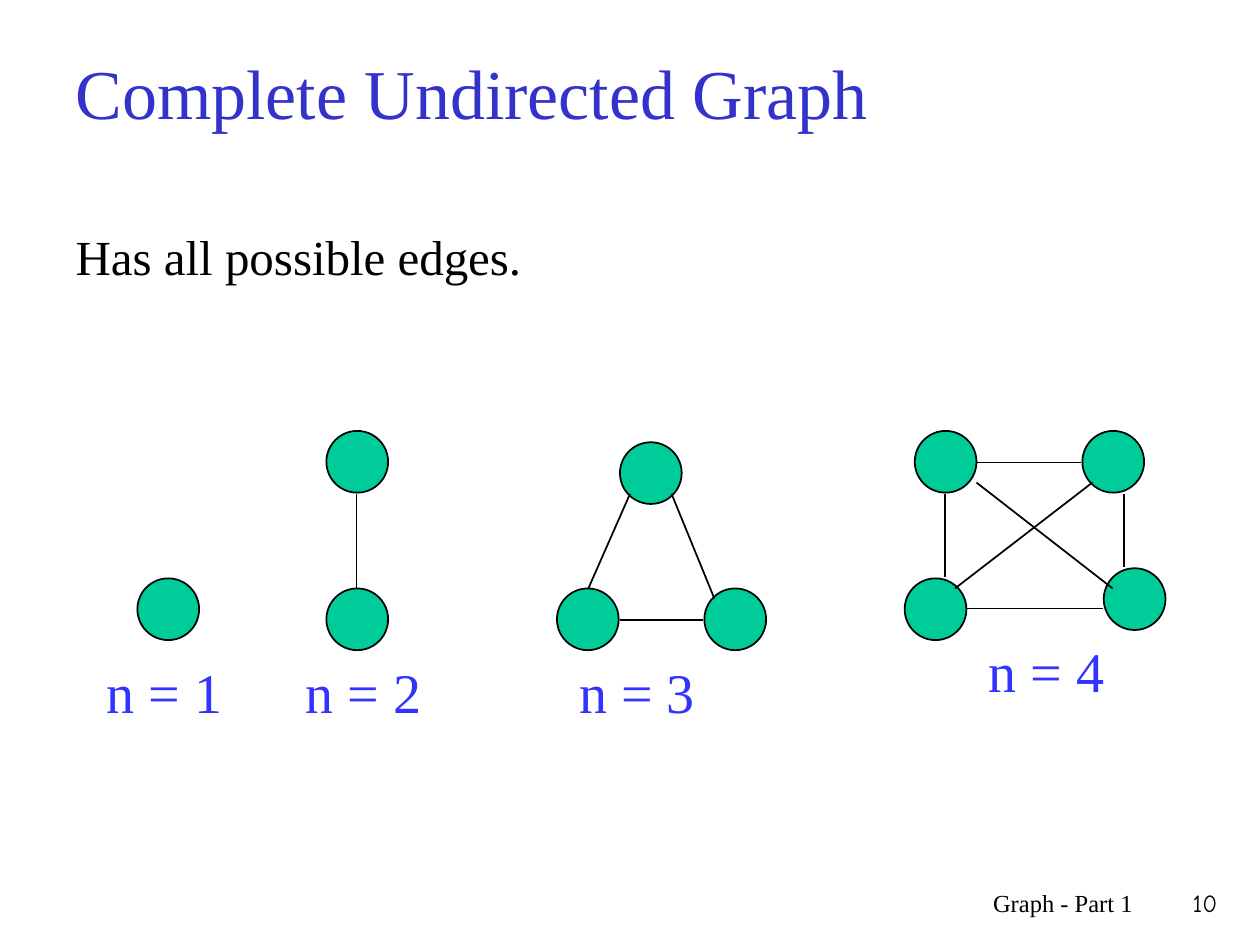
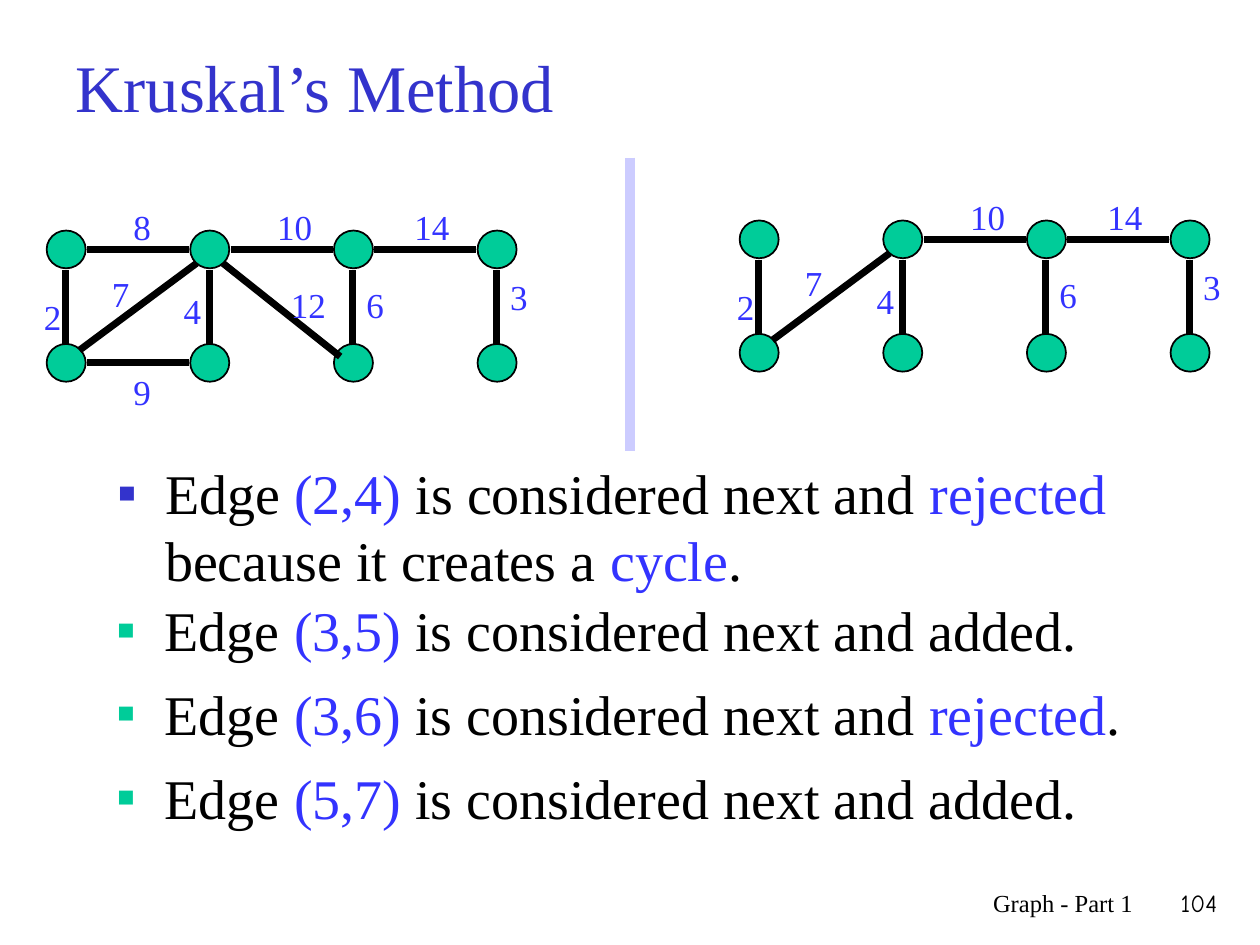
from dataclasses import dataclass
from typing import NamedTuple

import pptx
import pptx.dml.color
import pptx.enum.shapes
import pptx.enum.text
import pptx.oxml
import pptx.oxml.ns
import pptx.util
from lxml import etree

# Shared look: 100 px to the inch
EMU_PER_PX = 9144
SERIF = "Times New Roman"
NUMBER_FONT = "Comic Neue"
BLACK = "000000"
TITLE_BLUE = "3333CC"
ACCENT_BLUE = "3333FF"
NODE_GREEN = "00CC99"
DIVIDER_LILAC = "CCCCFF"
BULLET = "▪"
HANG = 38

Point = tuple[int, int]


class Box(NamedTuple):
    left: int
    top: int
    width: int
    height: int


class Span(NamedTuple):
    text: str
    color: str = BLACK


@dataclass(frozen=True)
class CompleteGraph:
    caption: str
    caption_at: Point
    nodes: list[Point]
    edges: list[tuple[Point, Point]]


class WeightedEdge(NamedTuple):
    start: int
    end: int
    weight: str
    label_at: Point
    label_width: int = 22


class BulletItem(NamedTuple):
    top: int
    bullet_color: str
    spans: list[Span]


def px(length: int) -> pptx.util.Emu:
    return pptx.util.Emu(length * EMU_PER_PX)


def rgb(color: str) -> pptx.dml.color.RGBColor:
    return pptx.dml.color.RGBColor.from_string(color)


# Text
def place(shape, box: Box) -> None:
    shape.left, shape.top, shape.width, shape.height = map(px, box)


def write(shape, spans: list[Span], size: int, font: str = SERIF,
          align=pptx.enum.text.PP_ALIGN.LEFT,
          anchor=pptx.enum.text.MSO_ANCHOR.TOP):
    frame = shape.text_frame
    frame.word_wrap = True
    frame.auto_size = pptx.enum.text.MSO_AUTO_SIZE.NONE
    frame.vertical_anchor = anchor
    paragraph = frame.paragraphs[0]
    paragraph.alignment = align
    paragraph.space_before = pptx.util.Pt(0)
    for span in spans:
        run = paragraph.add_run()
        run.text = span.text
        run.font.size = pptx.util.Pt(size)
        run.font.name = font
        run.font.color.rgb = rgb(span.color)
    return paragraph


def add_text(slide, box: Box, spans: list[Span], size: int, **style):
    return write(slide.shapes.add_textbox(*map(px, box)), spans, size, **style)


def hang(paragraph, bullet_color: str | None = None) -> None:
    """Hanging indent, with a square bullet if a colour is given."""
    properties = paragraph._p.get_or_add_pPr()
    properties.set("marL", str(px(HANG)))
    properties.set("indent", str(px(-HANG)))

    def add(parent, tag: str, **attributes: str):
        return etree.SubElement(parent, pptx.oxml.ns.qn(tag), attributes)

    if bullet_color is None:
        add(properties, "a:buNone")
        return
    add(add(properties, "a:buClr"), "a:srgbClr", val=bullet_color)
    add(properties, "a:buFont", typeface=SERIF)
    add(properties, "a:buChar", char=BULLET)


# Graph parts
def add_node(slide, box: Box) -> None:
    node = slide.shapes.add_shape(pptx.enum.shapes.MSO_SHAPE.OVAL, *map(px, box))
    node.shadow.inherit = False
    node.fill.solid()
    node.fill.fore_color.rgb = rgb(NODE_GREEN)
    node.line.color.rgb = rgb(BLACK)
    node.line.width = pptx.util.Pt(1)


def add_line(slide, start: Point, end: Point, width: int, color: str = BLACK) -> None:
    line = slide.shapes.add_connector(
        pptx.enum.shapes.MSO_CONNECTOR.STRAIGHT, *map(px, start + end))
    line.line.color.rgb = rgb(color)
    line.line.width = pptx.util.Pt(width)
    etree.SubElement(line._element.spPr, pptx.oxml.ns.qn("a:effectLst"))


# Slide frame: title, footer and number
def start_slide(deck, title: str, size: int, title_height: int, number: str):
    slide = deck.slides.add_slide(deck.slide_layouts[1])
    place(slide.shapes.title, Box(50, 30, 900, title_height))
    write(slide.shapes.title, [Span(title, TITLE_BLUE)], size,
          anchor=pptx.enum.text.MSO_ANCHOR.MIDDLE)
    right = pptx.enum.text.PP_ALIGN.RIGHT
    add_text(slide, Box(592, 700, 317, 50), [Span("Graph - Part 1")], 14, align=right)
    add_text(slide, Box(908, 700, 68, 50), [Span(number)], 14,
             font=NUMBER_FONT, align=right)
    return slide


# Slide 1: complete graphs with one to four nodes
COMPLETE_NODE = 49
COMPLETE_GRAPHS = [
    CompleteGraph("n = 1", (75, 517), [(109, 459)], []),
    CompleteGraph("n = 2", (233, 517), [(259, 467), (259, 342)],
                  [((283, 392), (283, 467))]),
    CompleteGraph("n = 3", (450, 517), [(492, 351), (442, 467), (559, 467)],
                  [((533, 392), (567, 475)), ((500, 392), (467, 467)),
                   ((492, 492), (558, 492))]),
    CompleteGraph("n = 4", (775, 500),
                  [(726, 342), (859, 342), (876, 451), (718, 459)],
                  [((775, 367), (858, 367)), ((892, 392), (892, 450)),
                   ((750, 392), (750, 458)), ((767, 483), (875, 483)),
                   ((775, 383), (883, 467)), ((867, 383), (758, 467))]),
]


def draw_complete_graph(slide, graph: CompleteGraph) -> None:
    for left, top in graph.nodes:
        add_node(slide, Box(left, top, COMPLETE_NODE, COMPLETE_NODE))
    for start, end in graph.edges:
        add_line(slide, start, end, 1)
    add_text(slide, Box(*graph.caption_at, 133, 63),
             [Span(graph.caption, ACCENT_BLUE)], 32)


def build_complete_slide(deck) -> None:
    slide = start_slide(deck, "Complete Undirected Graph", 40, 85, "10")
    definition = slide.placeholders[1]
    place(definition, Box(50, 175, 900, 92))
    hang(write(definition, [Span("Has all possible edges.")], 28))
    for graph in COMPLETE_GRAPHS:
        draw_complete_graph(slide, graph)


# Slide 2: weighted graph beside its spanning tree
# Odd nodes form the upper row and even nodes the lower row.
NODE_WIDTH, NODE_HEIGHT = 31, 30
COLUMN_STEP, ROW_STEP = 114, 90
NODE_COUNT = 8
GRAPH_ORIGIN = (37, 183)
TREE_ORIGIN = (587, 175)

# Label places are measured from the first node of the graph.
EDGES = [
    WeightedEdge(1, 2, "2", (-12, 47)),
    WeightedEdge(3, 4, "4", (99, 42)),
    WeightedEdge(5, 6, "6", (244, 37)),
    WeightedEdge(7, 8, "3", (358, 31)),
    WeightedEdge(1, 3, "8", (59, -25)),
    WeightedEdge(3, 5, "10", (173, -25), 49),
    WeightedEdge(5, 7, "14", (282, -25), 54),
    WeightedEdge(2, 4, "9", (59, 106)),
    WeightedEdge(2, 3, "7", (42, 28)),
    WeightedEdge(3, 6, "12", (184, 37), 54),
]
REJECTED_WEIGHTS = {"8", "9", "12"}
TREE_EDGES = [edge for edge in EDGES if edge.weight not in REJECTED_WEIGHTS]


def node_corner(origin: Point, number: int) -> Point:
    column, row = divmod(number - 1, 2)
    return origin[0] + column * COLUMN_STEP, origin[1] + row * ROW_STEP


def edge_ends(origin: Point, edge: WeightedEdge) -> tuple[Point, Point]:
    (x1, y1), (x2, y2) = (node_corner(origin, n) for n in (edge.start, edge.end))
    if x1 == x2:
        middle = x1 + NODE_WIDTH // 2
        return (middle, y1 + NODE_HEIGHT + 1), (middle, y2)
    if y1 == y2:
        middle = y1 + NODE_HEIGHT // 2
        return (x1 + NODE_WIDTH + 1, middle), (x2 - 1, middle)
    if y1 > y2:
        return (x1 + 26, y1 + 5), (x2 + 5, y2 + 26)
    return (x1 + 26, y1 + 26), (x2 + 5, y2 + 10)


def draw_weighted_graph(slide, origin: Point, edges: list[WeightedEdge]) -> None:
    for number in range(1, NODE_COUNT + 1):
        add_node(slide, Box(*node_corner(origin, number), NODE_WIDTH, NODE_HEIGHT))
    for edge in edges:
        add_line(slide, *edge_ends(origin, edge), 4)
        label = Box(origin[0] + edge.label_at[0], origin[1] + edge.label_at[1],
                    edge.label_width, 43)
        add_text(slide, label, [Span(edge.weight, ACCENT_BLUE)], 20)


def considered(edge: str, *rest: Span) -> list[Span]:
    return [Span("Edge "), Span(edge, ACCENT_BLUE), *rest]


NEXT_AND = Span(" is considered next and ")
ADDED = Span(" is considered next and added.")
REJECTED = Span("rejected", ACCENT_BLUE)
STEPS = [
    BulletItem(359, TITLE_BLUE,
               considered("(2,4)", NEXT_AND, REJECTED, Span(" because it creates a "),
                          Span("cycle", ACCENT_BLUE), Span("."))),
    BulletItem(468, NODE_GREEN, considered("(3,5)", ADDED)),
    BulletItem(534, NODE_GREEN, considered("(3,6)", NEXT_AND, REJECTED, Span("."))),
    BulletItem(601, NODE_GREEN, considered("(5,7)", ADDED)),
]


def build_kruskal_slide(deck) -> None:
    slide = start_slide(deck, "Kruskal’s Method", 38, 77, "104")
    draw_weighted_graph(slide, GRAPH_ORIGIN, EDGES)
    draw_weighted_graph(slide, TREE_ORIGIN, TREE_EDGES)
    add_line(slide, (500, 125), (500, 358), 6, DIVIDER_LILAC)
    for index, step in enumerate(STEPS):
        box = Box(83, step.top, 850, 75)
        if index == 0:
            first_step = slide.placeholders[1]
            place(first_step, box)
            paragraph = write(first_step, step.spans, 32)
        else:
            paragraph = add_text(slide, box, step.spans, 32)
        hang(paragraph, step.bullet_color)


def main() -> None:
    deck = pptx.Presentation()
    deck.slide_width, deck.slide_height = px(1000), px(750)
    build_complete_slide(deck)
    build_kruskal_slide(deck)
    deck.save("out.pptx")


if __name__ == "__main__":
    main()
